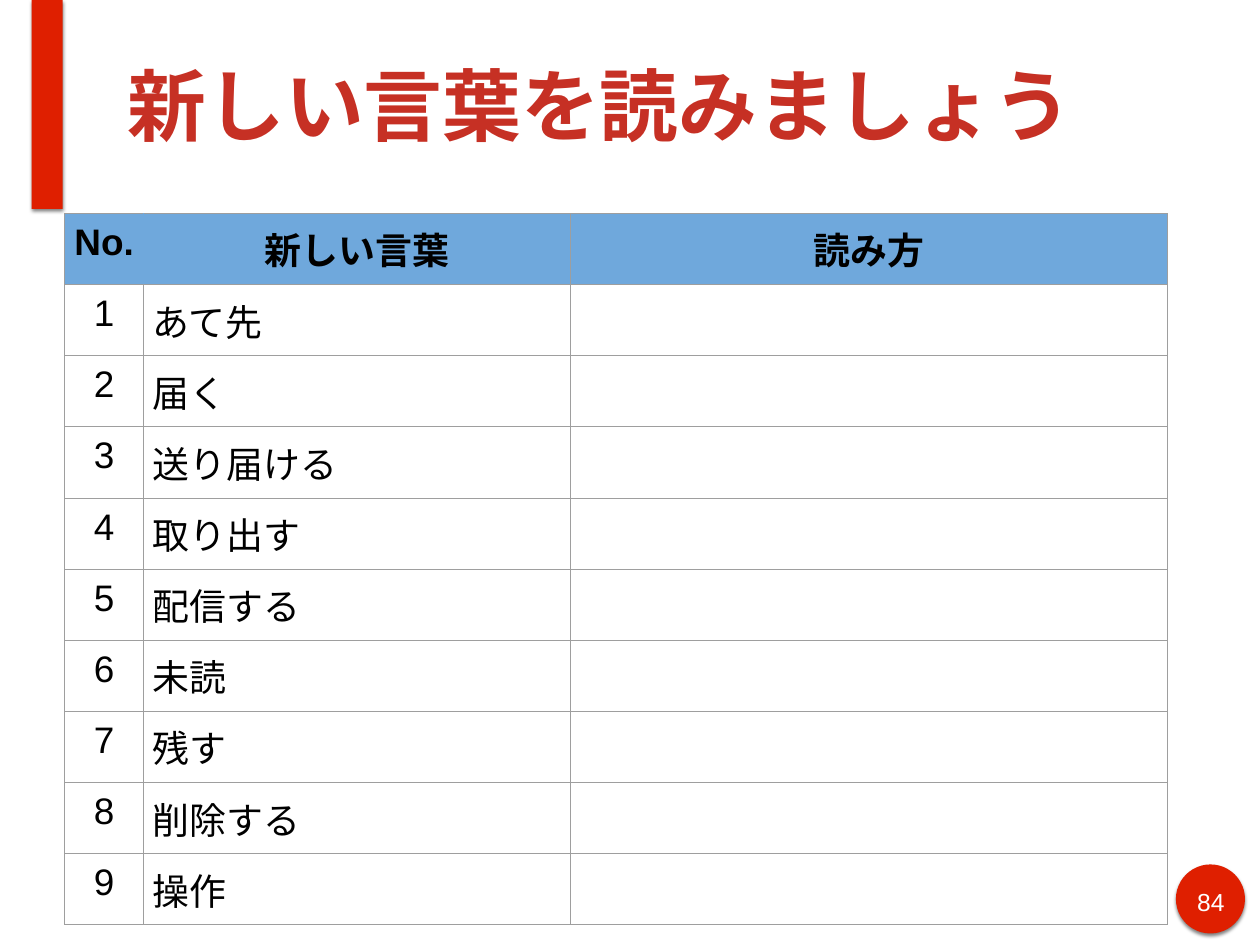
from dataclasses import dataclass

from lxml.etree import SubElement
from pptx import Presentation
from pptx.dml.color import RGBColor
from pptx.enum.lang import MSO_LANGUAGE_ID
from pptx.enum.shapes import MSO_SHAPE
from pptx.enum.text import MSO_ANCHOR, PP_ALIGN
from pptx.oxml.ns import qn
from pptx.util import Cm, Pt

COLORS = {
    "accent": "DF1F00",
    "title": "C63024",
    "header": "6FA8DC",
    "grid": "9E9E9E",
    "ink": "000000",
    "white": "FFFFFF",
}
FONT = "Arial"
HEADINGS = ("No.", "新しい言葉", "読み方")
WORDS = (
    "あて先", "届く", "送り届ける", "取り出す", "配信する",
    "未読", "残す", "削除する", "操作",
)
COLUMN_WIDTHS = (2.27, 12.22, 17.12)
ROW_HEIGHT = 2.04
CELL_MARGIN = 0.25
LABEL_MARGIN = 0.16


@dataclass(frozen=True)
class Box:
    left: float
    top: float
    width: float
    height: float

    def lengths(self) -> tuple:
        return Cm(self.left), Cm(self.top), Cm(self.width), Cm(self.height)


@dataclass(frozen=True)
class Ornament:
    kind: MSO_SHAPE
    box: Box


@dataclass(frozen=True)
class Label:
    text: str
    box: Box
    size: int
    color: str
    bold: bool = False
    align: PP_ALIGN = PP_ALIGN.LEFT
    anchor: MSO_ANCHOR = MSO_ANCHOR.TOP


ORNAMENTS = (
    Ornament(MSO_SHAPE.OVAL, Box(33.71, 24.79, 1.98, 1.98)),
    Ornament(MSO_SHAPE.RECTANGLE, Box(0.91, 0, 0.89, 5.99)),
)
LABELS = (
    Label("84", Box(34.09, 25.27, 1.24, 0.99), 20, "white", align=PP_ALIGN.CENTER),
    Label("新しい言葉を読みましょう", Box(3.5, 0.3, 30.84, 5.38), 64, "title",
          bold=True, anchor=MSO_ANCHOR.MIDDLE),
)


def rgb(name: str) -> RGBColor:
    return RGBColor.from_string(COLORS[name])


def write(frame, text: str, *, size: int, color: str, bold: bool = False,
          align: PP_ALIGN = PP_ALIGN.LEFT, east_asian: str = "") -> None:
    paragraph = frame.paragraphs[0]
    paragraph.alignment = align
    run = paragraph.add_run()
    run.text = text
    font = run.font
    font.name, font.size, font.bold = FONT, Pt(size), bold
    font.color.rgb = rgb(color)
    font.language_id = MSO_LANGUAGE_ID.JAPANESE
    if east_asian:
        SubElement(run._r.get_or_add_rPr(), qn("a:ea"), typeface=east_asian)


def draw_ornament(slide, ornament: Ornament) -> None:
    shape = slide.shapes.add_shape(ornament.kind, *ornament.box.lengths())
    shape.fill.solid()
    shape.fill.fore_color.rgb = rgb("accent")
    shape.line.fill.background()
    shape.shadow.inherit = False
    effects = shape._element.spPr.find(qn("a:effectLst"))
    shadow = SubElement(effects, qn("a:outerShdw"), blurRad=str(Pt(3)),
                        dist=str(Pt(2)), dir="5400000", rotWithShape="0")
    shade = SubElement(shadow, qn("a:srgbClr"), val=COLORS["ink"])
    SubElement(shade, qn("a:alpha"), val="50000")


def draw_label(slide, label: Label) -> None:
    frame = slide.shapes.add_textbox(*label.box.lengths()).text_frame
    frame.word_wrap = True
    frame.vertical_anchor = label.anchor
    frame.margin_left = frame.margin_right = Cm(LABEL_MARGIN)
    frame.margin_top = frame.margin_bottom = Cm(LABEL_MARGIN)
    write(frame, label.text, size=label.size, color=label.color,
          bold=label.bold, align=label.align, east_asian=FONT)


def draw_borders(cell, hidden: str) -> None:
    properties = cell._tc.get_or_add_tcPr()
    for side in "LRTB":
        border = SubElement(properties, qn(f"a:ln{side}"), w=str(Pt(0.75)))
        fill = SubElement(border, qn("a:solidFill"))
        color = COLORS["header" if side == hidden else "grid"]
        SubElement(fill, qn("a:srgbClr"), val=color)


def draw_word_table(slide) -> None:
    rows = [HEADINGS] + [(str(n), word, "") for n, word in enumerate(WORDS, 1)]
    box = Box(1.85, 6.12, sum(COLUMN_WIDTHS), ROW_HEIGHT * len(rows))
    table = slide.shapes.add_table(len(rows), len(HEADINGS), *box.lengths()).table
    table.first_row = table.horz_banding = False
    for column, width in zip(table.columns, COLUMN_WIDTHS):
        column.width = Cm(width)
    for r, texts in enumerate(rows):
        table.rows[r].height = Cm(ROW_HEIGHT)
        heading = r == 0
        for c, text in enumerate(texts):
            cell = table.cell(r, c)
            cell.margin_left = cell.margin_right = Cm(CELL_MARGIN)
            cell.margin_top = cell.margin_bottom = Cm(CELL_MARGIN)
            draw_borders(cell, "RL"[c] if heading and c < 2 else "")
            if heading:
                cell.fill.solid()
                cell.fill.fore_color.rgb = rgb("header")
            else:
                cell.fill.background()
            if text:
                centred = heading or c == 0
                write(cell.text_frame, text, size=30, color="ink", bold=heading,
                      align=PP_ALIGN.CENTER if centred else PP_ALIGN.LEFT)


def main() -> None:
    deck = Presentation()
    deck.slide_width, deck.slide_height = Cm(36.12), Cm(27.1)
    slide = deck.slides.add_slide(deck.slide_layouts[6])
    for ornament in ORNAMENTS:
        draw_ornament(slide, ornament)
    for label in LABELS:
        draw_label(slide, label)
    draw_word_table(slide)
    deck.save("out.pptx")


if __name__ == "__main__":
    main()
